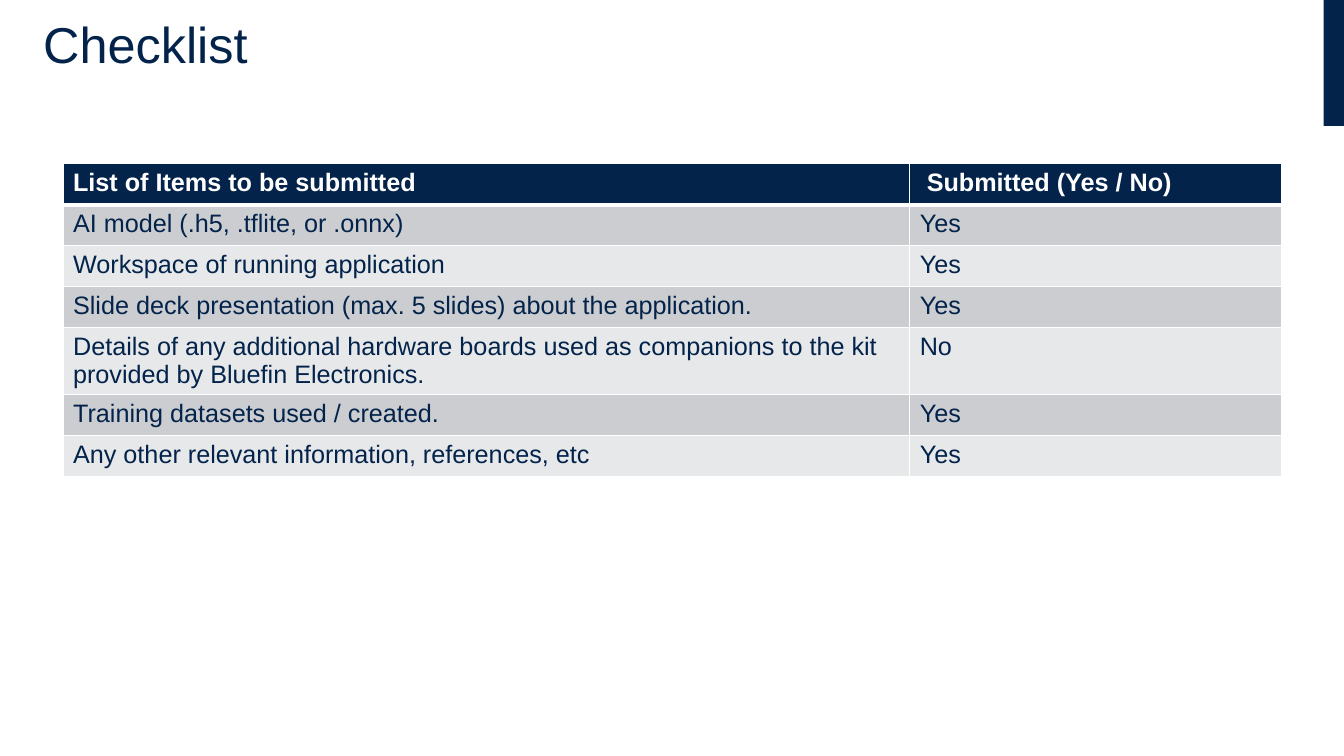
import pptx
import pptx.dml.color
import pptx.enum.shapes
import pptx.enum.text
import pptx.oxml
import pptx.oxml.ns
import pptx.util

Pt = pptx.util.Pt
COLORS = {"navy": "03234B", "white": "FFFFFF", "odd": "CCCDD0", "even": "E7E8E9"}
ROWS = [
    ("List of Items to be submitted", " Submitted (Yes / No)"),
    ("AI model (.h5, .tflite, or .onnx)", "Yes"),
    ("Workspace of running application", "Yes"),
    ("Slide deck presentation (max. 5 slides) about the application.", "Yes"),
    ("Details of any additional hardware boards used as companions to the kit "
     "provided by Bluefin Electronics.", "No"),
    ("Training datasets used / created.", "Yes"),
    ("Any other relevant information, references, etc", "Yes"),
]


def write(frame, text, color, **font_format):
    paragraph = frame.paragraphs[0]
    run = paragraph.add_run()
    run.text = text
    run.font.color.rgb = pptx.dml.color.RGBColor.from_string(COLORS[color])
    for name, value in {"name": "Arial", **font_format}.items():
        setattr(run.font, name, value)
    return paragraph


def paint(fill, color):
    fill.solid()
    fill.fore_color.rgb = pptx.dml.color.RGBColor.from_string(COLORS[color])


presentation = pptx.Presentation()
presentation.slide_width, presentation.slide_height = Pt(960), Pt(540)
slide = presentation.slides.add_slide(presentation.slide_layouts[6])

corner_bar = slide.shapes.add_shape(
    pptx.enum.shapes.MSO_SHAPE.RECTANGLE, Pt(945.4), Pt(0), Pt(14.6), Pt(90))
corner_bar.shadow.inherit = False
paint(corner_bar.fill, "navy")
corner_bar.line.fill.background()

table = slide.shapes.add_table(
    len(ROWS), 2, Pt(45), Pt(117), Pt(870.5), Pt(225.4)).table
for column, width in zip(table.columns, (604.8, 265.7)):
    column.width = Pt(width)

for row_index, texts in enumerate(ROWS):
    is_header = row_index == 0
    table.rows[row_index].height = Pt(29.3)
    row_fill = "navy" if is_header else ("even", "odd")[row_index % 2]
    for column_index, text in enumerate(texts):
        cell = table.cell(row_index, column_index)
        write(cell.text_frame, text, "white" if is_header else "navy",
              size=Pt(18), bold=is_header)
        paint(cell.fill, row_fill)
        border_widths = {"lnL": 1, "lnR": 1, "lnT": 3 if row_index == 1 else 1,
                         "lnB": 3 if is_header else 1}
        # Borders must precede the fill in the cell properties.
        for position, (side, width) in enumerate(border_widths.items()):
            border = pptx.oxml.parse_xml(
                f'<a:{side} {pptx.oxml.ns.nsdecls("a")} w="{Pt(width)}"><a:solidFill>'
                f'<a:srgbClr val="{COLORS["white"]}"/></a:solidFill></a:{side}>')
            cell._tc.get_or_add_tcPr().insert(position, border)

title = slide.shapes.add_textbox(Pt(23.8), Pt(0), Pt(914.4), Pt(67))
title.text_frame.word_wrap = True
title.text_frame.vertical_anchor = pptx.enum.text.MSO_ANCHOR.MIDDLE
write(title.text_frame, "Checklist", "navy", size=Pt(36)).line_spacing = 0.9

presentation.save("out.pptx")
